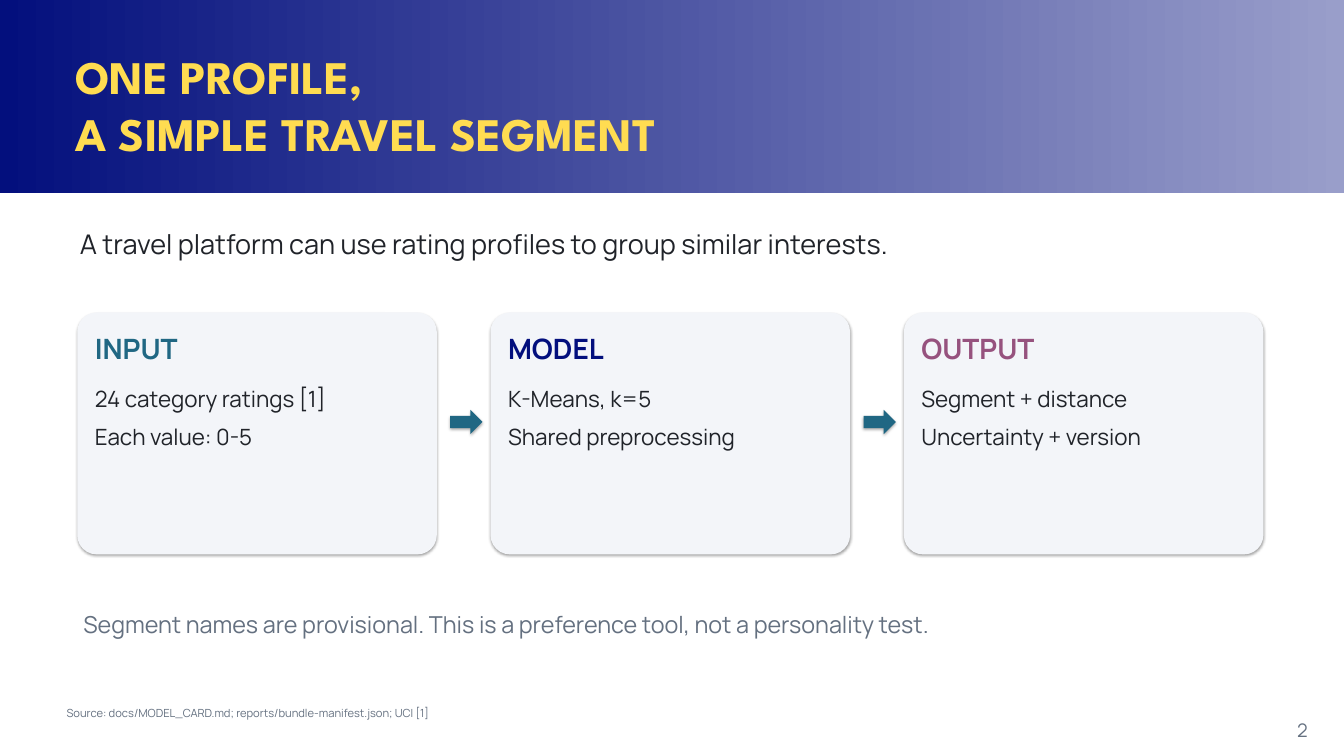
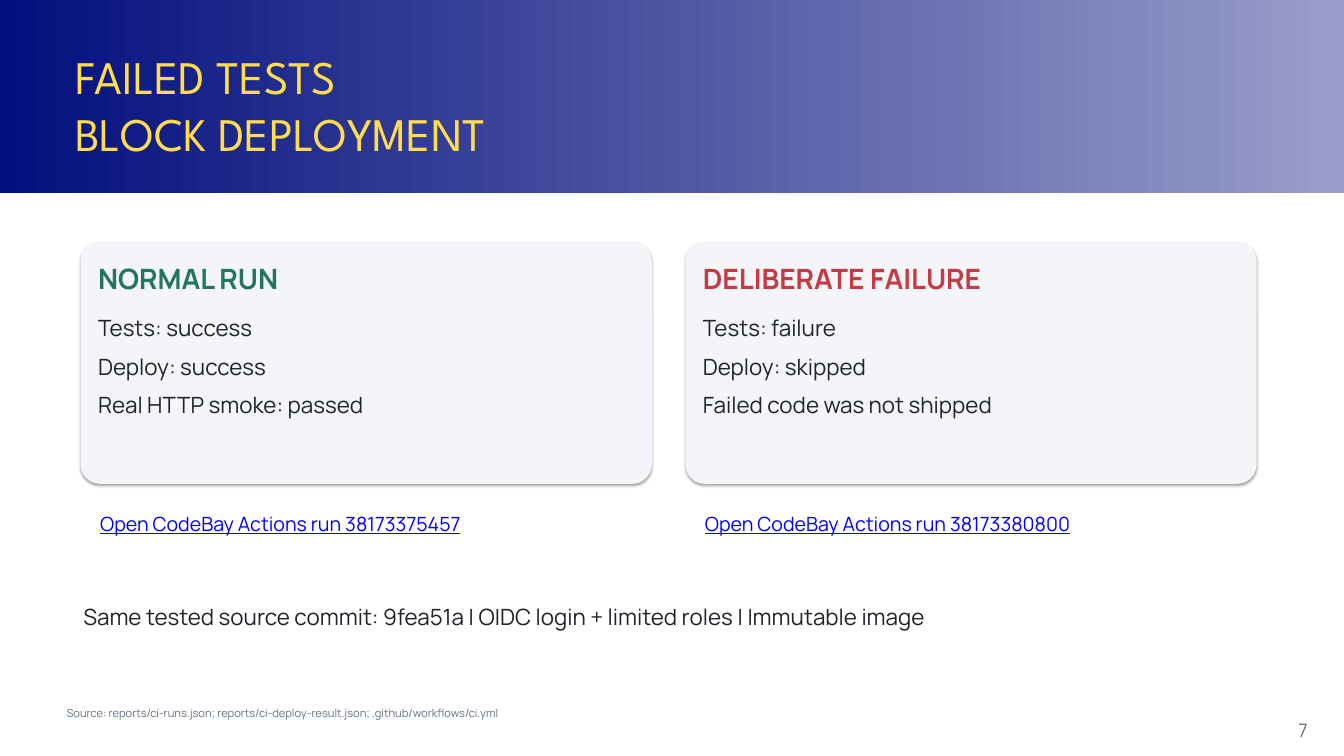
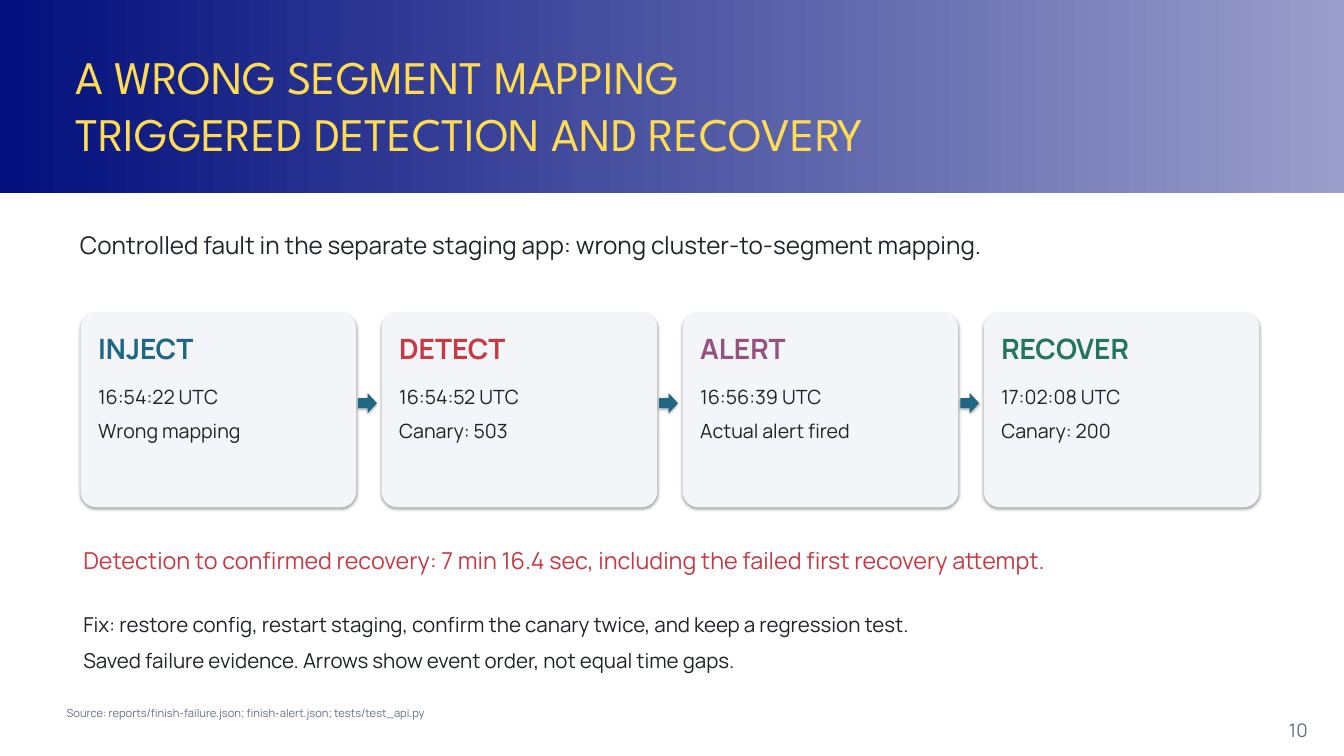
"""Builds three slides with a shared title band, rows of cards and source lines."""
from pptx import Presentation, util as u
from pptx.dml.color import RGBColor
from pptx.enum import shapes, text

WIDE, HIGH, BAND = 20, 11.25, 2.87
NAVY, FADE, GOLD, PALE = "030F7D", "999ECA", "FFDC51", "F3F5F9"
INK, GREY, BLUE = "202329", "647080", "0000FF"
TEAL, PLUM, RED, GREEN = "206783", "96527E", "C53A43", "23755B"
HEAD, BODY = "League Spartan", "Manrope"

SLIDES = [
    dict(
        title=["ONE PROFILE,", "A SIMPLE TRAVEL SEGMENT"], bold=True, page=2,
        source="docs/MODEL_CARD.md; reports/bundle-manifest.json; UCI [1]",
        grid=dict(left=1.15, top=4.65, wide=5.35, high=3.6, gap=0.8, size=24),
        arrow=(0.2, 1.45, 0.48, 0.36),
        cards=[
            ("INPUT", TEAL, ["24 category ratings [1]", "Each value: 0-5"]),
            ("MODEL", NAVY, ["K-Means, k=5", "Shared preprocessing"]),
            ("OUTPUT", PLUM, ["Segment + distance", "Uncertainty + version"]),
        ],
        notes=[
            (1.15, 3.3, 0.8, 29, INK,
             ["A travel platform can use rating profiles to group similar interests."]),
            (1.2, 9, 0.8, 25, GREY,
             ["Segment names are provisional. This is a preference tool, not a personality test."]),
        ],
    ),
    dict(
        title=["FAILED TESTS", "BLOCK DEPLOYMENT"], bold=False, page=7,
        source="reports/ci-runs.json; reports/ci-deploy-result.json; .github/workflows/ci.yml",
        grid=dict(left=1.2, top=3.6, wide=8.5, high=3.6, gap=0.5, size=24),
        cards=[
            ("NORMAL RUN", GREEN,
             ["Tests: success", "Deploy: success", "Real HTTP smoke: passed"]),
            ("DELIBERATE FAILURE", RED,
             ["Tests: failure", "Deploy: skipped", "Failed code was not shipped"]),
        ],
        links=["Open CodeBay Actions run 38173375457",
               "Open CodeBay Actions run 38173380800"],
        notes=[
            (1.2, 8.9, 0.9, 24, INK,
             ["Same tested source commit: 9fea51a | OIDC login + limited roles | Immutable image"]),
        ],
    ),
    dict(
        title=["A WRONG SEGMENT MAPPING", "TRIGGERED DETECTION AND RECOVERY"],
        bold=False, page=10,
        source="reports/finish-failure.json; finish-alert.json; tests/test_api.py",
        grid=dict(left=1.2, top=4.65, wide=4.1, high=2.9, gap=0.38, size=21),
        arrow=(0.03, 1.2, 0.28, 0.3),
        cards=[
            ("INJECT", TEAL, ["16:54:22 UTC", "Wrong mapping"]),
            ("DETECT", RED, ["16:54:52 UTC", "Canary: 503"]),
            ("ALERT", PLUM, ["16:56:39 UTC", "Actual alert fired"]),
            ("RECOVER", GREEN, ["17:02:08 UTC", "Canary: 200"]),
        ],
        notes=[
            (1.15, 3.35, 0.85, 26, INK,
             ["Controlled fault in the separate staging app: wrong cluster-to-segment mapping."]),
            (1.2, 8.05, 0.8, 25, RED,
             ["Detection to confirmed recovery: 7 min 16.4 sec, including the failed first recovery attempt."]),
            (1.2, 9.03, 1, 22, INK,
             ["Fix: restore config, restart staging, confirm the canary twice, and keep a regression test.",
              "Saved failure evidence. Arrows show event order, not equal time gaps."]),
        ],
    ),
]


def paint(color, code):
    color.rgb = RGBColor.from_string(code)


def place(*box):
    return [u.Inches(n) for n in box]


def write(slide, box, lines, size, code, font=BODY, bold=False, line=False,
          pad=(0.04, 0.03), pitch=1.12, after=9, align=text.PP_ALIGN.LEFT):
    frame = slide.shapes.add_textbox(*place(*box)).text_frame
    frame.word_wrap = True
    frame.auto_size = text.MSO_AUTO_SIZE.SHAPE_TO_FIT_TEXT
    frame.margin_left = frame.margin_right = u.Inches(pad[0])
    frame.margin_top = frame.margin_bottom = u.Inches(pad[1])
    frame.text = "\n".join(lines)
    for para in frame.paragraphs:
        para.alignment, para.line_spacing = align, pitch
        para.space_after = u.Pt(after)
        for run in para.runs:
            run.font.name, run.font.size = font, u.Pt(size)
            run.font.bold, run.font.underline = bold, line
            paint(run.font.color, code)


def block(slide, kind, box, code):
    shape = slide.shapes.add_shape(kind, *place(*box))
    shape.fill.solid()
    paint(shape.fill.fore_color, code)
    shape.line.fill.background()
    return shape


def base(slide, data):
    band = block(slide, shapes.MSO_SHAPE.RECTANGLE, (0, 0, WIDE, BAND), NAVY)
    band.shadow.inherit = False
    band.fill.gradient()
    band.fill.gradient_angle = 0
    for stop, code in zip(band.fill.gradient_stops, (NAVY, FADE)):
        paint(stop.color, code)
    write(slide, (1.12, 0.7, 17.6, 2), data["title"], 50, GOLD, HEAD,
          data["bold"], pad=(0, 0), pitch=1.02, after=0)
    write(slide, (18.8, 10.62, 0.7, 0.35), [str(data["page"])], 20, GREY,
          align=text.PP_ALIGN.RIGHT)
    write(slide, (0.95, 10.45, 17.6, 0.48), ["Source: " + data["source"]], 12, GREY)


def row(slide, data):
    grid, cards = data["grid"], data["cards"]
    top, wide, high = grid["top"], grid["wide"], grid["high"]
    lefts = [grid["left"] + i * (wide + grid["gap"]) for i in range(len(cards))]
    for left, (head, code, lines) in zip(lefts, cards):
        card = block(slide, shapes.MSO_SHAPE.ROUNDED_RECTANGLE,
                     (left, top, wide, high), PALE)
        card.adjustments[0] = 0.08
        inner = wide - 0.44
        write(slide, (left + 0.22, top + 0.2, inner, 0.7), [head], 30, code, bold=True)
        write(slide, (left + 0.22, top + 1, inner, high - 1.15), lines,
              grid["size"], INK)
    if "arrow" in data:
        right, down, *size = data["arrow"]
        for left in lefts[:-1]:
            block(slide, shapes.MSO_SHAPE.RIGHT_ARROW,
                  (left + wide + right, top + down, *size), TEAL)
    for left, link in zip(lefts, data.get("links", [])):
        write(slide, (left + 0.25, top + high + 0.35, wide - 0.5, 0.75), [link],
              21, BLUE, line=True)


def main():
    deck = Presentation()
    deck.slide_width, deck.slide_height = place(WIDE, HIGH)
    for data in SLIDES:
        slide = deck.slides.add_slide(deck.slide_layouts[6])
        base(slide, data)
        row(slide, data)
        for left, top, high, size, code, lines in data["notes"]:
            write(slide, (left, top, 17.5, high), lines, size, code)
    deck.save("out.pptx")


if __name__ == "__main__":
    main()
